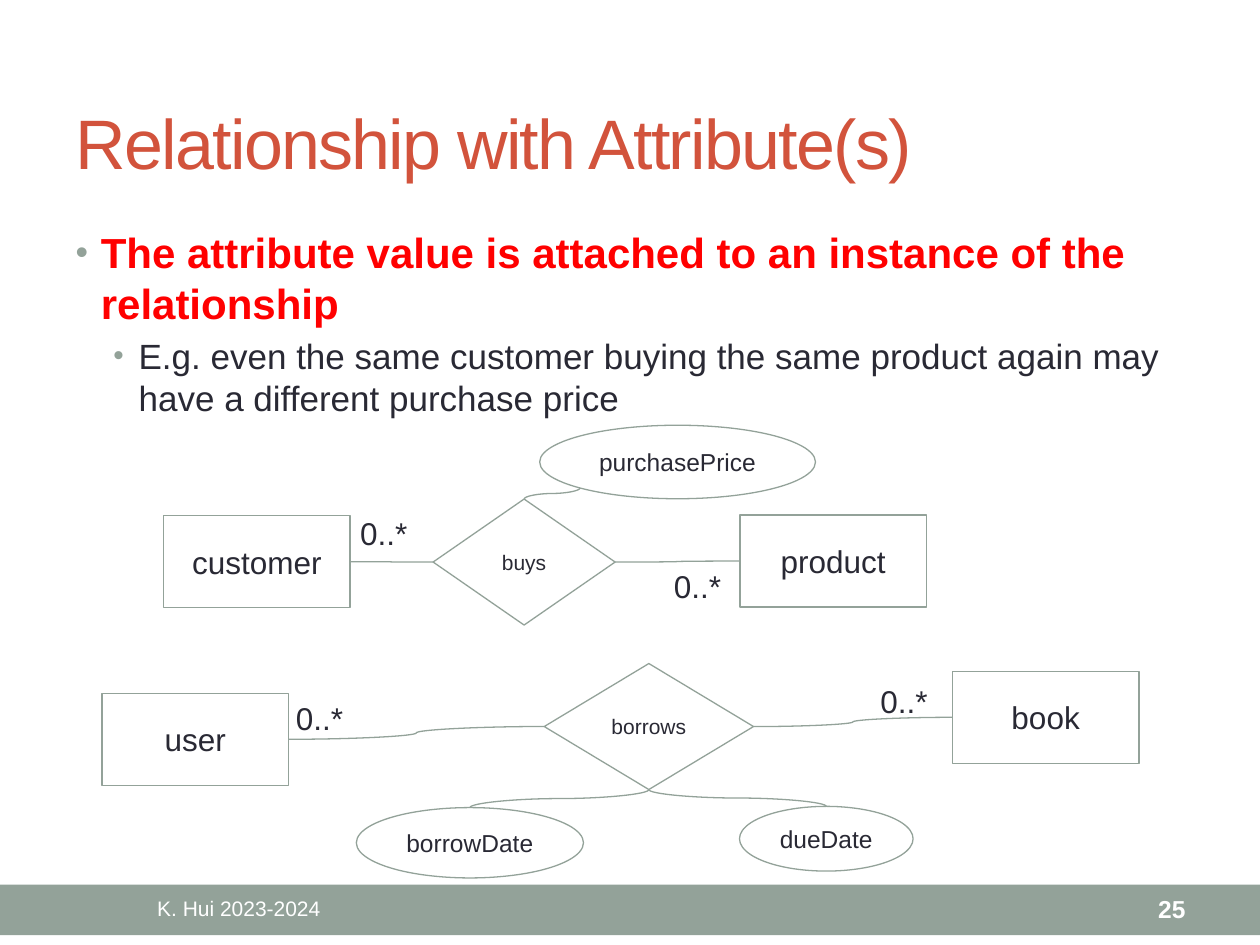
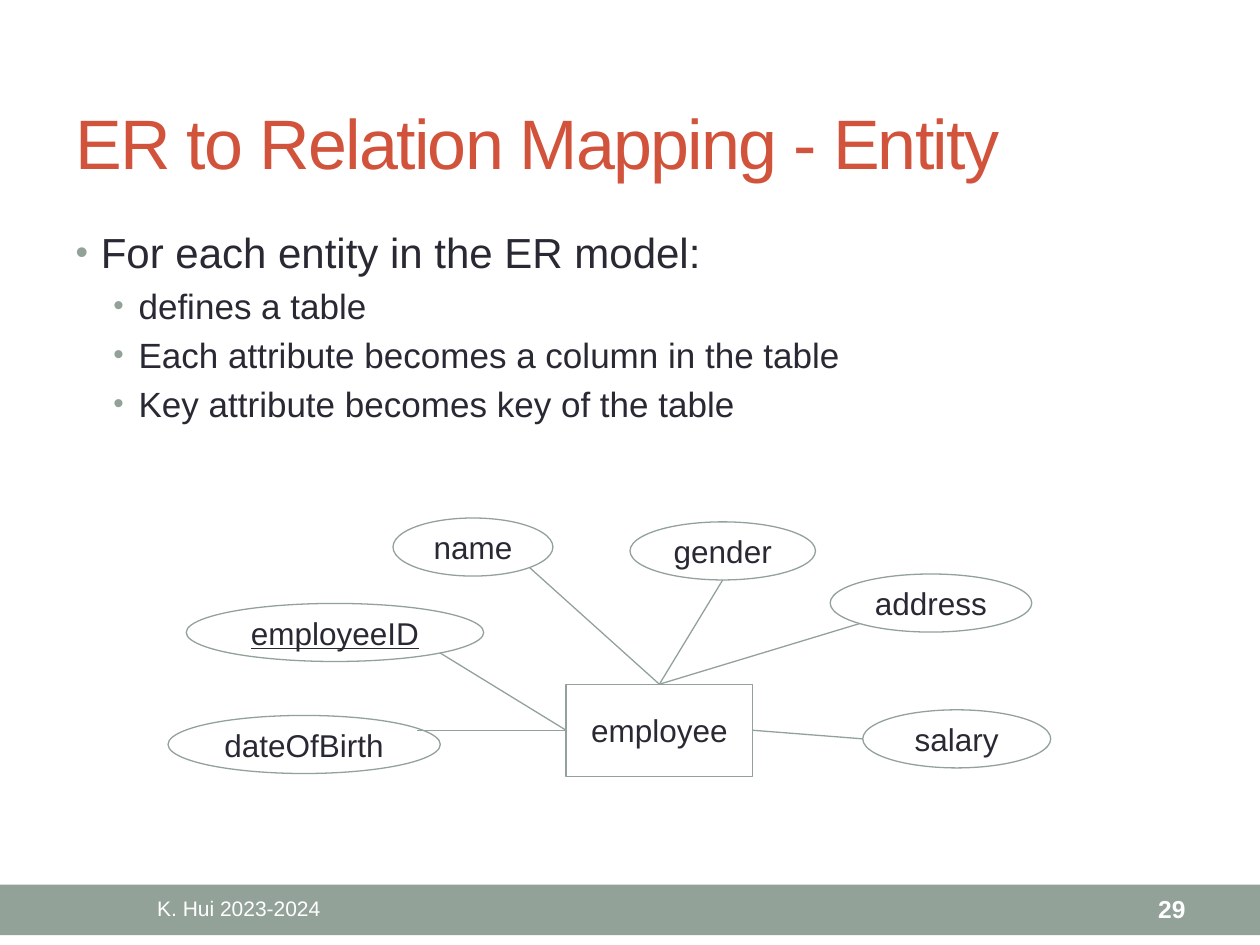
"""Builds two entity-relationship slides that share one style."""
from dataclasses import dataclass

import lxml.etree
import pptx
import pptx.dml.color
import pptx.enum.shapes
import pptx.enum.text
import pptx.oxml.ns
import pptx.util

Pt = pptx.util.Pt
RGB = pptx.dml.color.RGBColor
SHAPE = pptx.enum.shapes.MSO_SHAPE
CONNECTOR = pptx.enum.shapes.MSO_CONNECTOR
ALIGN = pptx.enum.text.PP_ALIGN
ANCHOR = pptx.enum.text.MSO_ANCHOR
AUTO_SIZE = pptx.enum.text.MSO_AUTO_SIZE
qn = pptx.oxml.ns.qn

DIAGONAL = 0.3536  # offset of an ellipse's 45 degree point, as a share of its size
SIDES = {
    "top": (0.5, 0),
    "bottom": (0.5, 1),
    "left": (0, 0.5),
    "right": (1, 0.5),
    "lower left": (0.5 - DIAGONAL, 0.5 + DIAGONAL),
    "lower right": (0.5 + DIAGONAL, 0.5 + DIAGONAL),
}


@dataclass(frozen=True)
class Theme:
    """Colours, type sizes and repeated measures, in points."""
    font: str = "Arial"
    title: str = "D2533C"
    text: str = "292934"
    accent: str = "93A299"
    alert: str = "FF0000"
    white: str = "FFFFFF"
    title_size: float = 40
    bullet_sizes: tuple = (24, 20)
    bullet_margins: tuple = (14.4, 36)
    hanging: float = 14.4
    entity_size: float = 18
    attribute_size: float = 14
    relationship_size: float = 12
    footer_size: float = 12
    number_size: float = 14
    line_width: float = 0.75
    entity_box: tuple = (106.6, 52.6)
    diamond_height: float = 72


def side(shape, name):
    """Return the point, in points, at a named side of a shape."""
    across, down = SIDES[name]
    return (shape.left.pt + across * shape.width.pt,
            shape.top.pt + down * shape.height.pt)


class Deck:
    """Holds the presentation, its theme and the current slide."""

    def __init__(self, theme):
        """Start an empty 10 by 7.5 inch presentation."""
        self.theme = theme
        self.presentation = pptx.Presentation()
        self.presentation.slide_width = Pt(720)
        self.presentation.slide_height = Pt(540)
        self.slide = None

    def format_text(self, paragraph, size, color, bold=False, align=ALIGN.LEFT):
        """Set the font and alignment of a whole paragraph."""
        paragraph.alignment = align
        font = paragraph.font
        font.name = self.theme.font
        font.size = Pt(size)
        font.bold = bold
        font.color.rgb = RGB.from_string(color)

    def place(self, shape, left, top, width, height):
        """Move and size a placeholder."""
        shape.left, shape.top = Pt(left), Pt(top)
        shape.width, shape.height = Pt(width), Pt(height)
        shape.text_frame.auto_size = AUTO_SIZE.NONE

    def add_slide(self, title, number):
        """Add a slide with its title, footer band and page number."""
        theme = self.theme
        self.slide = self.presentation.slides.add_slide(
            self.presentation.slide_layouts[1])
        band = self.add_box(SHAPE.RECTANGLE, 0, 505.6, 720, 28.8)
        band.fill.solid()
        band.fill.fore_color.rgb = RGB.from_string(theme.accent)
        band.line.fill.background()

        shape = self.slide.shapes.title
        self.place(shape, 36, 42, 648, 78)
        shape.text_frame.vertical_anchor = ANCHOR.MIDDLE
        paragraph = shape.text_frame.paragraphs[0]
        paragraph.text = title
        self.format_text(paragraph, theme.title_size, theme.title)
        paragraph.runs[0]._r.get_or_add_rPr().set("spc", "-100")

        self.add_text("K. Hui 2023-2024", 36, 506, 201, 26,
                      theme.footer_size, theme.white, align=ALIGN.CENTER)
        self.add_text(str(number), 600.5, 506, 84, 26,
                      theme.number_size, theme.white, bold=True, align=ALIGN.RIGHT)

    def add_bullets(self, items, height):
        """Fill the body with (level, text, is_alert) items."""
        theme = self.theme
        body = self.slide.placeholders[1]
        self.place(body, 36, 126, 648, height)
        frame = body.text_frame
        for index, (level, text, is_alert) in enumerate(items):
            paragraph = frame.add_paragraph() if index else frame.paragraphs[0]
            paragraph.text = text
            paragraph.level = level
            self.add_bullet_mark(paragraph, theme.bullet_margins[level])
            self.format_text(paragraph, theme.bullet_sizes[level],
                             theme.alert if is_alert else theme.text, is_alert)

    def add_bullet_mark(self, paragraph, margin):
        """Give a paragraph a hanging indent and a coloured bullet."""
        properties = paragraph._p.get_or_add_pPr()
        properties.set("marL", str(int(Pt(margin))))
        properties.set("indent", str(-int(Pt(self.theme.hanging))))
        color = lxml.etree.SubElement(properties, qn("a:buClr"))
        lxml.etree.SubElement(color, qn("a:srgbClr"), val=self.theme.accent)
        lxml.etree.SubElement(properties, qn("a:buSzPct"), val="85000")
        lxml.etree.SubElement(properties, qn("a:buFont"), typeface=self.theme.font)
        lxml.etree.SubElement(properties, qn("a:buChar"), char="\u2022")

    def add_text(self, text, left, top, width, height, size, color,
                 bold=False, align=ALIGN.LEFT, wrap=True):
        """Add a vertically centred text box."""
        box = self.slide.shapes.add_textbox(Pt(left), Pt(top), Pt(width), Pt(height))
        frame = box.text_frame
        frame.word_wrap = wrap
        frame.vertical_anchor = ANCHOR.MIDDLE
        frame.text = text
        self.format_text(frame.paragraphs[0], size, color, bold, align)

    def add_cardinality(self, left, top):
        """Add a many-cardinality label."""
        self.add_text("0..*", left, top, 41.8, 29, self.theme.entity_size,
                      self.theme.text, wrap=False)

    def add_box(self, kind, left, top, width, height):
        """Add an unfilled, outlined shape without shadow."""
        shape = self.slide.shapes.add_shape(
            kind, Pt(left), Pt(top), Pt(width), Pt(height))
        shape.shadow.inherit = False
        shape.fill.background()
        self.format_line(shape.line)
        return shape

    def add_node(self, kind, text, left, top, width, height, size):
        """Add a diagram shape with a centred label."""
        shape = self.add_box(kind, left, top, width, height)
        frame = shape.text_frame
        frame.word_wrap = True
        frame.vertical_anchor = ANCHOR.MIDDLE
        frame.text = text
        self.format_text(frame.paragraphs[0], size, self.theme.text,
                         align=ALIGN.CENTER)
        return shape

    def add_entity(self, text, left, top):
        """Add an entity rectangle."""
        return self.add_node(SHAPE.RECTANGLE, text, left, top,
                             *self.theme.entity_box, self.theme.entity_size)

    def add_relationship(self, text, left, top, width):
        """Add a relationship diamond."""
        return self.add_node(SHAPE.DIAMOND, text, left, top, width,
                             self.theme.diamond_height, self.theme.relationship_size)

    def add_attribute(self, text, left, top, width, height, size=None, is_key=False):
        """Add an attribute ellipse, underlined when it is the key."""
        shape = self.add_node(SHAPE.OVAL, text, left, top, width, height,
                              size or self.theme.attribute_size)
        if is_key:
            shape.text_frame.paragraphs[0].runs[0].font.underline = True
        return shape

    def format_line(self, line):
        """Apply the diagram line style."""
        line.color.rgb = RGB.from_string(self.theme.accent)
        line.width = Pt(self.theme.line_width)

    def add_line(self, begin, end, kind=CONNECTOR.STRAIGHT):
        """Join two points."""
        connector = self.slide.shapes.add_connector(
            kind, *(Pt(value) for value in (*begin, *end)))
        self.format_line(connector.line)
        lxml.etree.SubElement(connector._element.spPr, qn("a:effectLst"))
        return connector

    def add_curve(self, begin, end):
        """Join two points by a curve that leaves sideways."""
        return self.add_line(begin, end, CONNECTOR.CURVE)

    def add_drop_curve(self, upper, lower):
        """Join two points by a curve that leaves downwards (a quarter turn)."""
        middle_x = (upper[0] + lower[0]) / 2
        middle_y = (upper[1] + lower[1]) / 2
        half_x = (lower[0] - upper[0]) / 2
        half_y = (lower[1] - upper[1]) / 2
        connector = self.add_curve((middle_x - half_y, middle_y + half_x),
                                   (middle_x + half_y, middle_y - half_x))
        connector._element.spPr.find(qn("a:xfrm")).set("rot", "5400000")


def build_relationship_slide(deck):
    """Show relationships that carry attributes."""
    deck.add_slide("Relationship with Attribute(s)", 25)
    deck.add_bullets([
        (0, "The attribute value is attached to an instance of the relationship", True),
        (1, "E.g. even the same customer buying the same product again may "
            "have a different purchase price", False),
    ], 133)

    customer = deck.add_entity("customer", 93.5, 294.7)
    product = deck.add_entity("product", 422.8, 294.3)
    buys = deck.add_relationship("buys", 247.5, 285.2, 104)
    price = deck.add_attribute("purchasePrice", 308.4, 243, 157.6, 42)
    deck.add_curve(side(customer, "right"), side(buys, "left"))
    deck.add_curve(side(product, "left"), side(buys, "right"))
    deck.add_drop_curve(side(price, "lower left"), side(buys, "top"))
    deck.add_cardinality(198.7, 290)
    deck.add_cardinality(378, 320)

    user = deck.add_entity("user", 58.3, 396.2)
    book = deck.add_entity("book", 544.2, 383.6)
    borrows = deck.add_relationship("borrows", 311, 379.2, 119.6)
    borrow_date = deck.add_attribute("borrowDate", 203.6, 461.5, 129.8, 40.2)
    due_date = deck.add_attribute("dueDate", 422.6, 460.8, 99.2, 37)
    deck.add_curve(side(user, "right"), side(borrows, "left"))
    deck.add_curve(side(book, "left"), side(borrows, "right"))
    for date in (borrow_date, due_date):
        deck.add_drop_curve(side(borrows, "bottom"), side(date, "top"))
    deck.add_cardinality(162, 395.5)
    deck.add_cardinality(496, 386)


def build_mapping_slide(deck):
    """Show how an entity and its attributes map to a table."""
    deck.add_slide("ER to Relation Mapping - Entity", 29)
    deck.add_bullets([
        (0, "For each entity in the ER model:", False),
        (1, "defines a table", False),
        (1, "Each attribute becomes a column in the table", False),
        (1, "Key attribute becomes key of the table", False),
    ], 180)

    employee = deck.add_entity("employee", 323.5, 391)
    attributes = [  # text, left, top, width, attribute side, employee side
        ("name", 224.6, 296, 91.4, "lower right", "top"),
        ("employeeID", 106.4, 344.8, 170, "lower right", "left"),
        ("dateOfBirth", 96, 408.8, 155.6, None, "left"),
        ("address", 474.4, 328, 115.2, "lower left", "top"),
        ("salary", 493, 405.6, 107.4, "left", "right"),
        ("gender", 360, 298.2, 106, "bottom", "top"),
    ]
    for text, left, top, width, attribute_side, employee_side in attributes:
        attribute = deck.add_attribute(text, left, top, width, 33.2,
                                       deck.theme.entity_size, text == "employeeID")
        begin = side(employee, employee_side)
        # The line to dateOfBirth runs level and ends inside the ellipse.
        end = side(attribute, attribute_side) if attribute_side else (238.3, begin[1])
        deck.add_line(begin, end)


deck = Deck(Theme())
build_relationship_slide(deck)
build_mapping_slide(deck)
deck.presentation.save("out.pptx")
